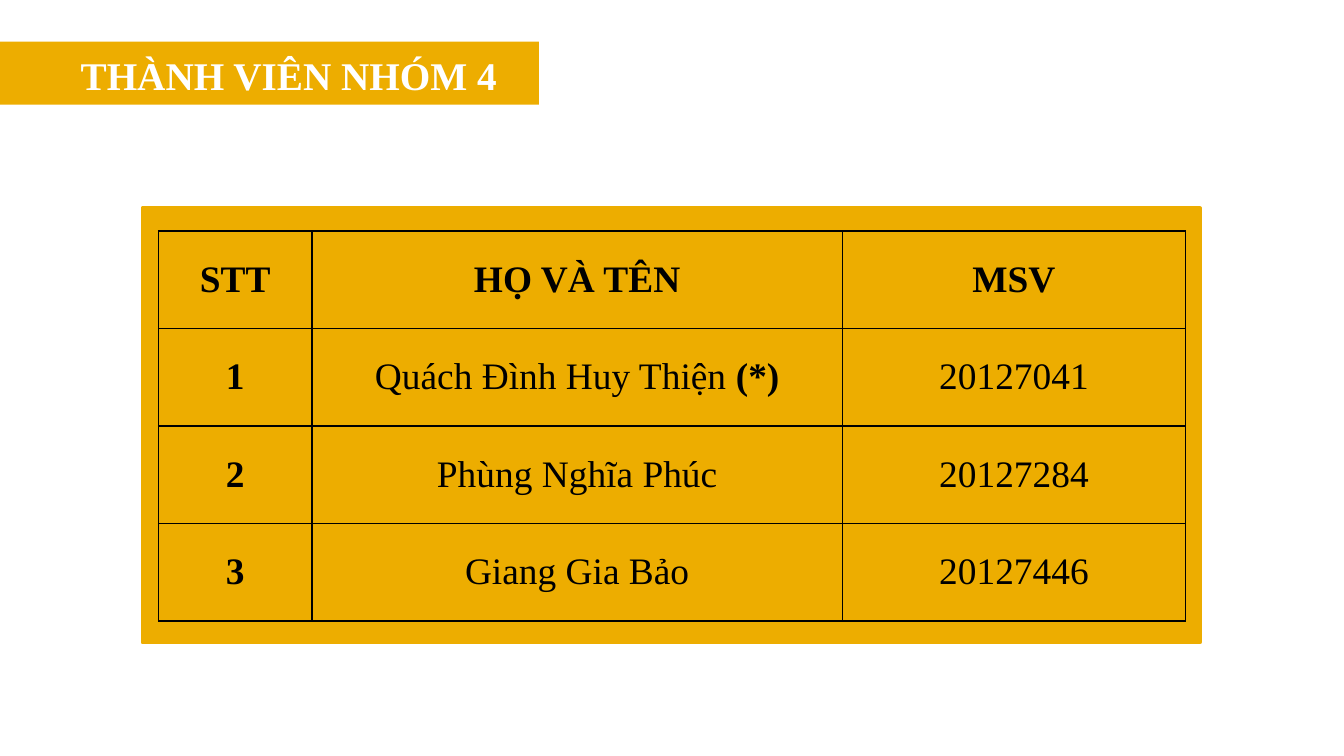
from lxml.etree import SubElement
from pptx import Presentation
from pptx.dml.color import RGBColor
from pptx.enum.shapes import MSO_SHAPE
from pptx.enum.text import MSO_ANCHOR, MSO_AUTO_SIZE, PP_ALIGN
from pptx.oxml.ns import qn
from pptx.util import Inches, Pt

COLORS = {"gold": "EDAD00", "white": "FFFFFF", "black": "000000"}
FONT = "Times New Roman"
COLUMN_WIDTHS = [1.14, 3.95, 2.55]
TABLE_HEIGHT = 2.9
HEADER = ["STT", "HỌ VÀ TÊN", "MSV"]
MEMBERS = [
    ("Quách Đình Huy Thiện ", "20127041"),
    ("Phùng Nghĩa Phúc", "20127284"),
    ("Giang Gia Bảo", "20127446"),
]
LEADER_MARK = "(*)"


def color(name):
    return RGBColor.from_string(COLORS[name])


def style_font(font, size, color_name):
    font.name = FONT
    font.size = Pt(size)
    font.color.rgb = color(color_name)


def add_panel(page, left, top, width, height, line_width=0):
    panel = page.shapes.add_shape(
        MSO_SHAPE.RECTANGLE, Inches(left), Inches(top), Inches(width), Inches(height)
    )
    panel.shadow.inherit = False
    panel.fill.solid()
    panel.fill.fore_color.rgb = color("gold")
    if line_width:
        panel.line.color.rgb = color("gold")
        panel.line.width = Pt(line_width)
    else:
        panel.line.fill.background()


def place_title(page, text):
    title = page.shapes.title
    title.left, title.top = Inches(0.5), Inches(0.33)
    title.width, title.height = Inches(3.33), Inches(0.45)
    frame = title.text_frame
    frame.text = text
    frame.word_wrap = False
    frame.auto_size = MSO_AUTO_SIZE.SHAPE_TO_FIT_TEXT
    frame.vertical_anchor = MSO_ANCHOR.TOP
    para = frame.paragraphs[0]
    para.alignment = PP_ALIGN.LEFT
    style_font(para.font, 21, "white")
    para.font.bold = True
    title.element.getparent().append(title.element)


def draw_borders(cell):
    properties = cell._tc.get_or_add_tcPr()
    for side in ("lnL", "lnR", "lnT", "lnB"):
        line = SubElement(properties, qn(f"a:{side}"), w=str(Pt(1)))
        fill = SubElement(line, qn("a:solidFill"))
        SubElement(fill, qn("a:srgbClr"), val=COLORS["black"])


def fill_cell(cell, text, bold):
    draw_borders(cell)
    cell.fill.background()
    cell.vertical_anchor = MSO_ANCHOR.MIDDLE
    para = cell.text_frame.paragraphs[0]
    para.alignment = PP_ALIGN.CENTER
    style_font(para.font, 20, "black")
    para.font.bold = bold
    para.add_run().text = text


def add_member_table(page, left, top):
    rows = [HEADER]
    rows += [(str(number), *member) for number, member in enumerate(MEMBERS, 1)]
    table = page.shapes.add_table(
        len(rows), len(HEADER), Inches(left), Inches(top),
        Inches(sum(COLUMN_WIDTHS)), Inches(TABLE_HEIGHT),
    ).table
    table.horz_banding = False
    for column, width in zip(table.columns, COLUMN_WIDTHS):
        column.width = Inches(width)
    for row_index, row in enumerate(rows):
        for column_index, text in enumerate(row):
            bold = row_index == 0 or column_index == 0
            fill_cell(table.cell(row_index, column_index), text, bold)
    span = table.cell(1, 1).text_frame.paragraphs[0].add_run()
    span.text = LEADER_MARK
    span.font.bold = True


def main():
    deck = Presentation()
    deck.slide_width = Inches(10)
    deck.slide_height = deck.slide_width * 9 // 16
    page = deck.slides.add_slide(deck.slide_layouts[5])
    add_panel(page, 1.06, 1.55, 7.87, 3.23, line_width=2)
    add_panel(page, 0, 0.31, 4.01, 0.47)
    place_title(page, "THÀNH VIÊN NHÓM 4")
    add_member_table(page, 1.18, 1.72)
    deck.save("out.pptx")


if __name__ == "__main__":
    main()
